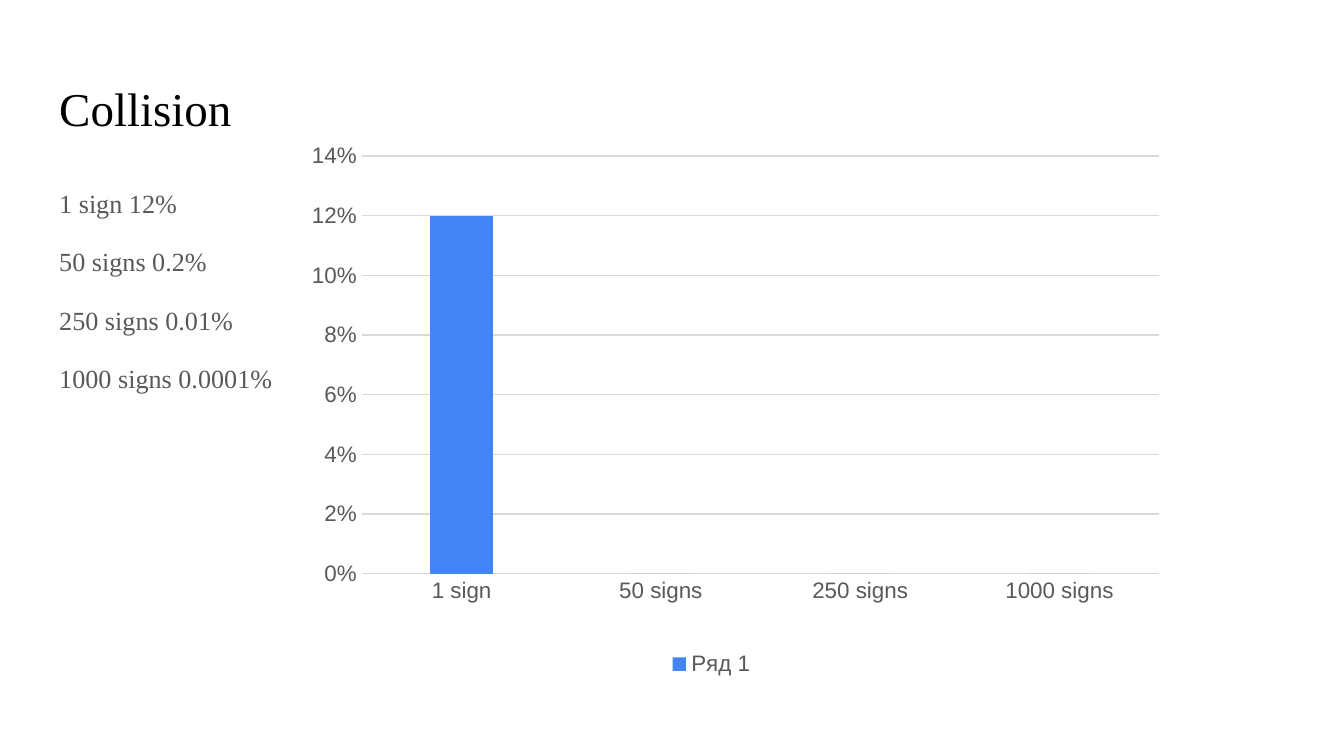
"""Build the Collision slide: a list of rates beside a column chart."""
from lxml import etree
from pptx import Presentation
from pptx.chart.data import CategoryChartData
from pptx.dml.color import RGBColor
from pptx.enum.chart import XL_CHART_TYPE, XL_LEGEND_POSITION, XL_TICK_MARK
from pptx.oxml.ns import qn
from pptx.util import Cm, Pt

COLUMNS = XL_CHART_TYPE.COLUMN_CLUSTERED
BOTTOM = XL_LEGEND_POSITION.BOTTOM
NO_TICK = XL_TICK_MARK.NONE
COLORS = {"title": "000000", "text": "595959", "grid": "D9D9D9", "bar": "4285F4"}
SERIF, SANS = "Times New Roman", "Arial"


def set_font(font, name, size, color):
    for key, value in {"name": name, "size": Pt(size)}.items():
        setattr(font, key, value)
    font.color.rgb = RGBColor.from_string(COLORS[color])


def set_line(line):
    line.width = Pt(0.75)
    line.color.rgb = RGBColor.from_string(COLORS["grid"])


deck = Presentation()
deck.slide_width, deck.slide_height = Cm(25.4), Cm(14.29)
page = deck.slides.add_slide(deck.slide_layouts[6])

rates = ["1 sign 12%", "50 signs 0.2%", "250 signs 0.01%", "1000 signs 0.0001%"]
list_format = {"line_spacing": 1.15, "space_after": Pt(12)}
texts = [
    (1.25, 1.6, ["Collision"], 25.2, "title", {}),
    (3.2, 9.5, rates, 14, "text", list_format),
]
for top, height, lines, size, color, paragraph_format in texts:
    box = page.shapes.add_textbox(Cm(0.87), Cm(top), Cm(23.67), Cm(height))
    frame = box.text_frame
    frame.word_wrap = True
    for side in ("left", "top", "right", "bottom"):
        setattr(frame, f"margin_{side}", Cm(0.25))
    frame.text = "\n".join(lines)
    for para in frame.paragraphs:
        for key, value in paragraph_format.items():
            setattr(para, key, value)
        for span in para.runs:
            set_font(span.font, SERIF, size, color)

data = CategoryChartData(number_format="0%")
data.categories = ["1 sign", "50 signs", "250 signs", "1000 signs"]
data.add_series("Ряд 1", [0.12, 0, 0, 0])
chart = page.shapes.add_chart(
    COLUMNS, Cm(4.98), Cm(1.6), Cm(16.94), Cm(11.28), data
).chart
chart.has_title = False
set_font(chart.font, SANS, 10, "title")

plot = chart.plots[0]
for key, value in {"gap_width": 219, "overlap": -27, "vary_by_categories": False}.items():
    setattr(plot, key, value)
bar_fill = plot.series[0].format.fill
bar_fill.solid()
bar_fill.fore_color.rgb = RGBColor.from_string(COLORS["bar"])

for axis in (chart.category_axis, chart.value_axis):
    axis.major_tick_mark = axis.minor_tick_mark = NO_TICK
    set_font(axis.tick_labels.font, SANS, 12, "text")
set_line(chart.category_axis.format.line)
scale = chart.value_axis
for key, value in {"minimum_scale": 0, "maximum_scale": 0.14, "major_unit": 0.02}.items():
    setattr(scale, key, value)
scale.tick_labels.number_format = "0%"
scale.tick_labels.number_format_is_linked = False
scale.format.line.fill.background()
set_line(scale.major_gridlines.format.line)

chart.has_legend = True
chart.legend.position = BOTTOM
chart.legend.include_in_layout = False
set_font(chart.legend.font, SANS, 12, "text")

plot_area = chart.element.find(".//" + qn("c:plotArea"))
layout = plot_area.find(qn("c:layout"))
if layout is None:
    layout = etree.Element(qn("c:layout"))
    plot_area.insert(0, layout)
manual = etree.SubElement(layout, qn("c:manualLayout"))
placement = {
    "layoutTarget": "inner", "xMode": "edge", "yMode": "edge",
    "x": 0.11, "y": 0.12, "w": 0.89, "h": 0.7,
}
for tag, value in placement.items():
    etree.SubElement(manual, qn(f"c:{tag}")).set("val", str(value))

deck.save("out.pptx")
